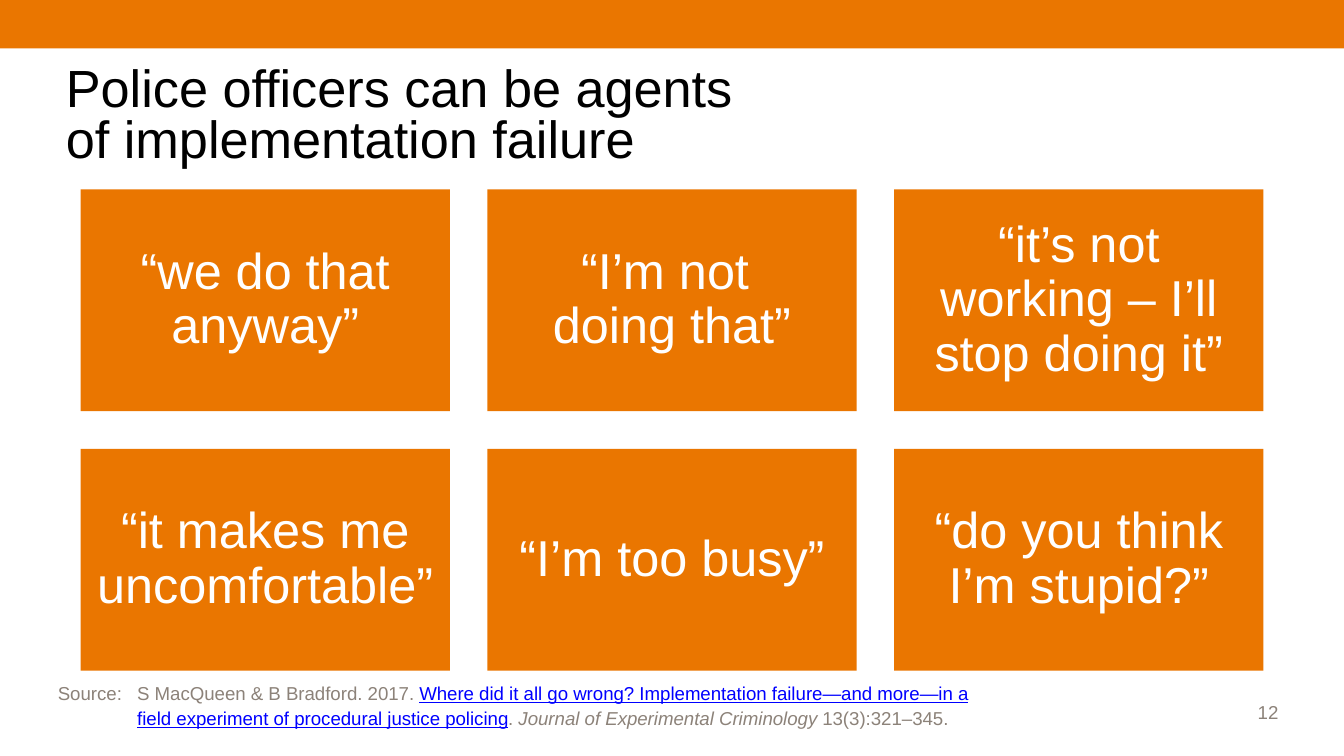
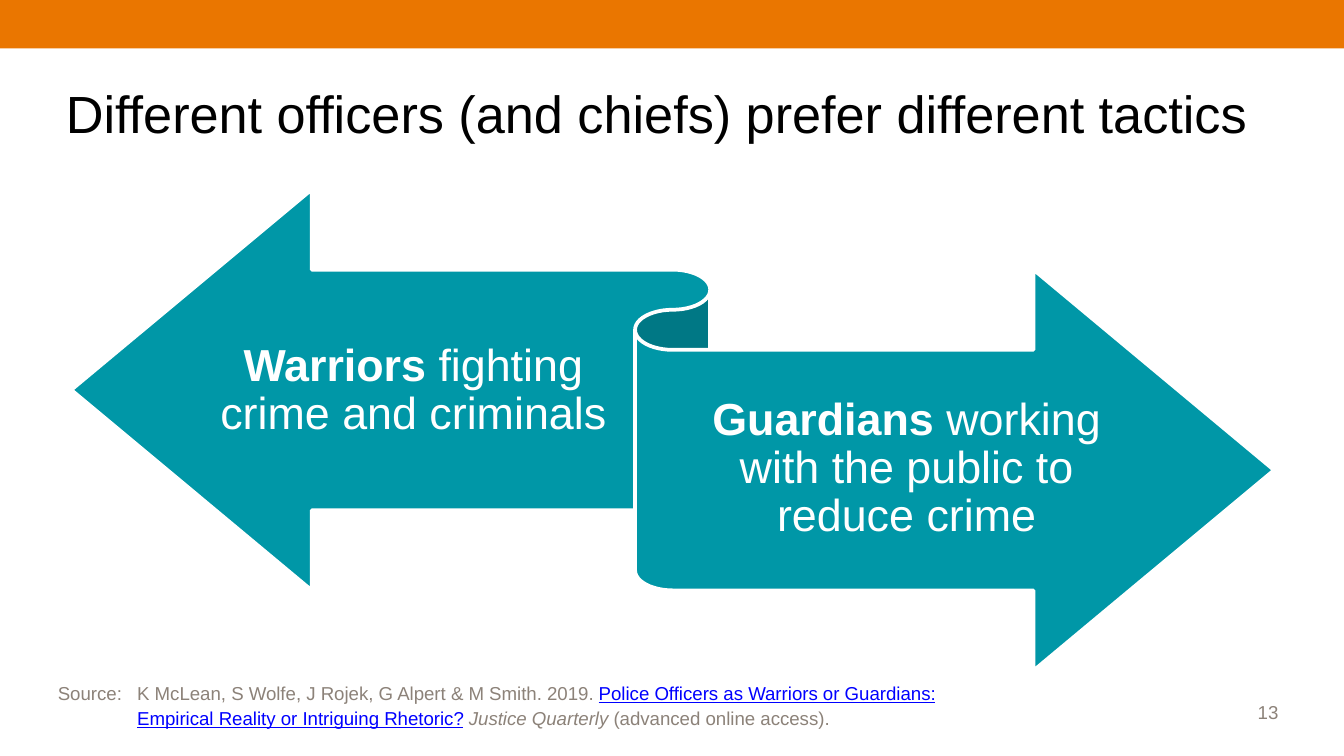
from collections import namedtuple
from dataclasses import dataclass

from lxml import etree
from pptx import Presentation
from pptx.dml.color import RGBColor
from pptx.enum.shapes import MSO_SHAPE
from pptx.enum.text import MSO_ANCHOR, MSO_AUTO_SIZE, PP_ALIGN
from pptx.oxml.ns import qn
from pptx.util import Inches, Pt

RECTANGLE = MSO_SHAPE.RECTANGLE
RIBBON = MSO_SHAPE.LEFT_RIGHT_RIBBON
MIDDLE, BOTTOM = MSO_ANCHOR.MIDDLE, MSO_ANCHOR.BOTTOM
LEFT, CENTER, RIGHT = PP_ALIGN.LEFT, PP_ALIGN.CENTER, PP_ALIGN.RIGHT
NO_AUTOFIT = MSO_AUTO_SIZE.NONE

Box = namedtuple("Box", "left top width height")
Span = namedtuple("Span", "text style", defaults=("plain",))


@dataclass(frozen=True)
class Theme:
    """Colours, font and type sizes shared by the slides."""
    orange: RGBColor = RGBColor(0xEA, 0x76, 0x00)
    teal: RGBColor = RGBColor(0x00, 0x97, 0xA7)
    grey: RGBColor = RGBColor(0x8C, 0x82, 0x79)
    link: RGBColor = RGBColor(0x00, 0x00, 0xFF)
    black: RGBColor = RGBColor(0x00, 0x00, 0x00)
    white: RGBColor = RGBColor(0xFF, 0xFF, 0xFF)
    font: str = "Arial"
    title_size: int = 28
    card_size: int = 27
    arrow_size: int = 24
    small_size: int = 10


THEME = Theme()
BAND = Box(0, 0, 10, 0.36)
TITLE = Box(0.39, 0.39, 9.21, 0.98)
CARDS = Box(0.6, 1.41, 8.8, 3.58)
ARROWS = Box(0.53, 1.41, 8.95, 3.58)
NUMBER = Box(8.82, 4.99, 0.79, 0.44)
SOURCE = Box(0.39, 5.02, 6.88, 0.44)


def lengths(box):
    """Return the sides of a box as lengths."""
    return [Inches(side) for side in box]


def place(shape, box):
    """Move a placeholder to a box."""
    shape.left, shape.top, shape.width, shape.height = lengths(box)


def set_frame(frame, anchor, insets=(0.1, 0.05, 0.1, 0.05)):
    """Set wrapping, anchor and insets, and return the first paragraph."""
    frame.word_wrap = True
    frame.auto_size = NO_AUTOFIT
    frame.vertical_anchor = anchor
    (frame.margin_left, frame.margin_top,
     frame.margin_right, frame.margin_bottom) = lengths(insets)
    return frame.paragraphs[0]


def set_type(para, size, color, align=LEFT, spacing=None):
    """Set the type and alignment of a paragraph."""
    para.font.name = THEME.font
    para.font.size = Pt(size)
    para.font.color.rgb = color
    para.alignment = align
    para.line_spacing = spacing


def add_spans(para, spans):
    """Add runs, marking the bold, italic and link spans."""
    for span in spans:
        run = para.add_run()
        run.text = span.text
        if span.style == "bold":
            run.font.bold = True
        elif span.style == "italic":
            run.font.italic = True
        elif span.style == "link":
            run.font.underline = True
            run.font.color.rgb = THEME.link


def add_filled(page, kind, box, color):
    """Add a flat shape without outline."""
    shape = page.shapes.add_shape(kind, *lengths(box))
    shape.shadow.inherit = False
    shape.fill.solid()
    shape.fill.fore_color.rgb = color
    shape.line.fill.background()
    return shape


def add_title(page, box, text):
    """Fill the title placeholder."""
    title = page.shapes.title
    place(title, box)
    para = set_frame(title.text_frame, MIDDLE)
    para.text = text
    set_type(para, THEME.title_size, THEME.black, spacing=Pt(27))


def add_number(page, box, number):
    """Add the page number."""
    label = page.shapes.add_textbox(*lengths(box))
    para = set_frame(label.text_frame, BOTTOM)
    para.text = str(number)
    set_type(para, THEME.small_size, THEME.grey, RIGHT)


def add_source(page, box, spans):
    """Fill the body placeholder with a hanging source note."""
    note = page.placeholders[1]
    place(note, box)
    note.fill.solid()
    note.fill.fore_color.rgb = THEME.white
    color = note.fill._xPr.find(".//" + qn("a:srgbClr"))
    etree.SubElement(color, qn("a:alpha")).set("val", "85000")
    para = set_frame(note.text_frame, MIDDLE, (0.04,) * 4)
    properties = para._p.get_or_add_pPr()
    properties.set("marL", str(Inches(0.59)))
    properties.set("indent", str(Inches(-0.59)))
    etree.SubElement(properties, qn("a:buNone"))
    set_type(para, THEME.small_size, THEME.grey, spacing=1.1)
    para.space_before = Pt(0)
    para.space_after = Pt(3)
    add_spans(para, [Span("Source:\t"), *spans])


def add_cards(page, box, quotes, columns=3, gap=0.28):
    """Lay out quotes as a grid of equal cards."""
    rows = -(-len(quotes) // columns)
    width = (box.width - gap * (columns - 1)) / columns
    height = (box.height - gap * (rows - 1)) / rows
    for index, quote in enumerate(quotes):
        row, column = divmod(index, columns)
        cell = Box(box.left + column * (width + gap),
                   box.top + row * (height + gap), width, height)
        card = add_filled(page, RECTANGLE, cell, THEME.orange)
        para = set_frame(card.text_frame, MIDDLE, (0.11,) * 4)
        para.text = quote
        set_type(para, THEME.card_size, THEME.white, CENTER, 0.9)


def add_opposing_arrows(page, box, left_spans, right_spans):
    """Add a two-headed ribbon with a label on each half."""
    ribbon = add_filled(page, RIBBON, box, THEME.teal)
    ribbon.line.color.rgb = THEME.white
    ribbon.line.width = Pt(2)
    labels = [(1.07, 0.63, 2.95, left_spans), (4.47, 1.21, 3.49, right_spans)]
    for across, down, width, spans in labels:
        area = Box(box.left + across, box.top + down, width, 1.75)
        label = page.shapes.add_textbox(*lengths(area))
        para = set_frame(label.text_frame, MIDDLE, (0, 0.09, 0, 0.1))
        set_type(para, THEME.arrow_size, THEME.white, CENTER, 0.9)
        add_spans(para, spans)


def add_page(deck, number, title, source):
    """Add a slide with band, number, title and source note."""
    page = deck.slides.add_slide(deck.slide_layouts[1])
    add_filled(page, RECTANGLE, BAND, THEME.orange)
    add_number(page, NUMBER, number)
    add_title(page, TITLE, title)
    add_source(page, SOURCE, source)
    return page


def build_failure_page(deck):
    """Build the slide of officers' objections."""
    page = add_page(
        deck, 12, "Police officers can be agents \vof implementation failure",
        [Span("S MacQueen & B Bradford. 2017. "),
         Span("Where did it all go wrong? Implementation failure—and more—in a "
              "field experiment of procedural justice policing", "link"),
         Span(". "),
         Span("Journal of Experimental Criminology", "italic"),
         Span(" 13(3):321–345.")])
    add_cards(page, CARDS, [
        "“we do that anyway”",
        "“I’m not \vdoing that”",
        "“it’s not working – I’ll stop doing it”",
        "“it makes me uncomfortable”",
        "“I’m too busy”",
        "“do you think I’m stupid?”",
    ])


def build_tactics_page(deck):
    """Build the slide of warriors and guardians."""
    page = add_page(
        deck, 13, "Different officers (and chiefs) prefer different tactics",
        [Span("K McLean, S Wolfe, J Rojek, G Alpert & M Smith. 2019. "),
         Span("Police Officers as Warriors or Guardians: "
              "Empirical Reality or Intriguing Rhetoric?", "link"),
         Span(" "),
         Span("Justice Quarterly ", "italic"),
         Span("(advanced online access).")])
    add_opposing_arrows(
        page, ARROWS,
        [Span("Warriors", "bold"), Span(" fighting crime and criminals")],
        [Span("Guardians", "bold"),
         Span(" working with the public to reduce crime")])


def main():
    """Build and save the deck."""
    deck = Presentation()
    deck.slide_width = Inches(10)
    deck.slide_height = deck.slide_width * 9 // 16
    build_failure_page(deck)
    build_tactics_page(deck)
    deck.save("out.pptx")


if __name__ == "__main__":
    main()
